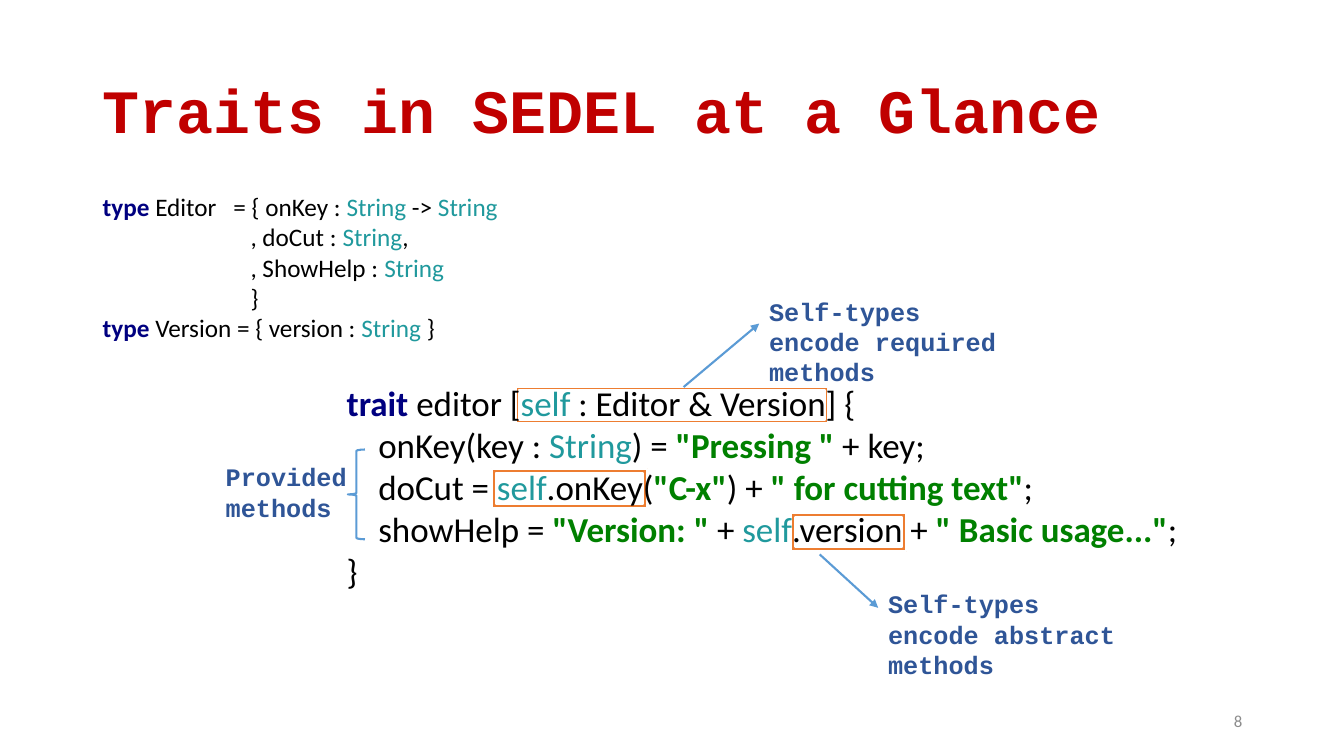
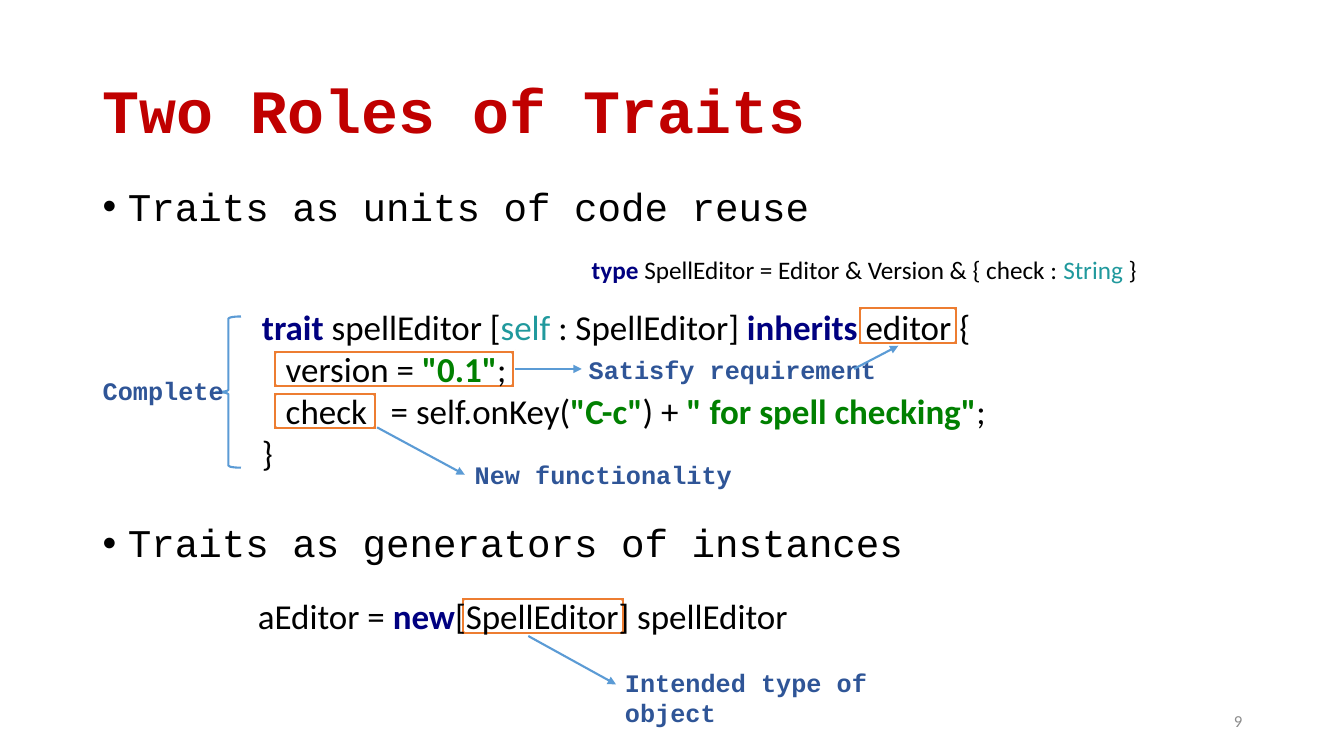
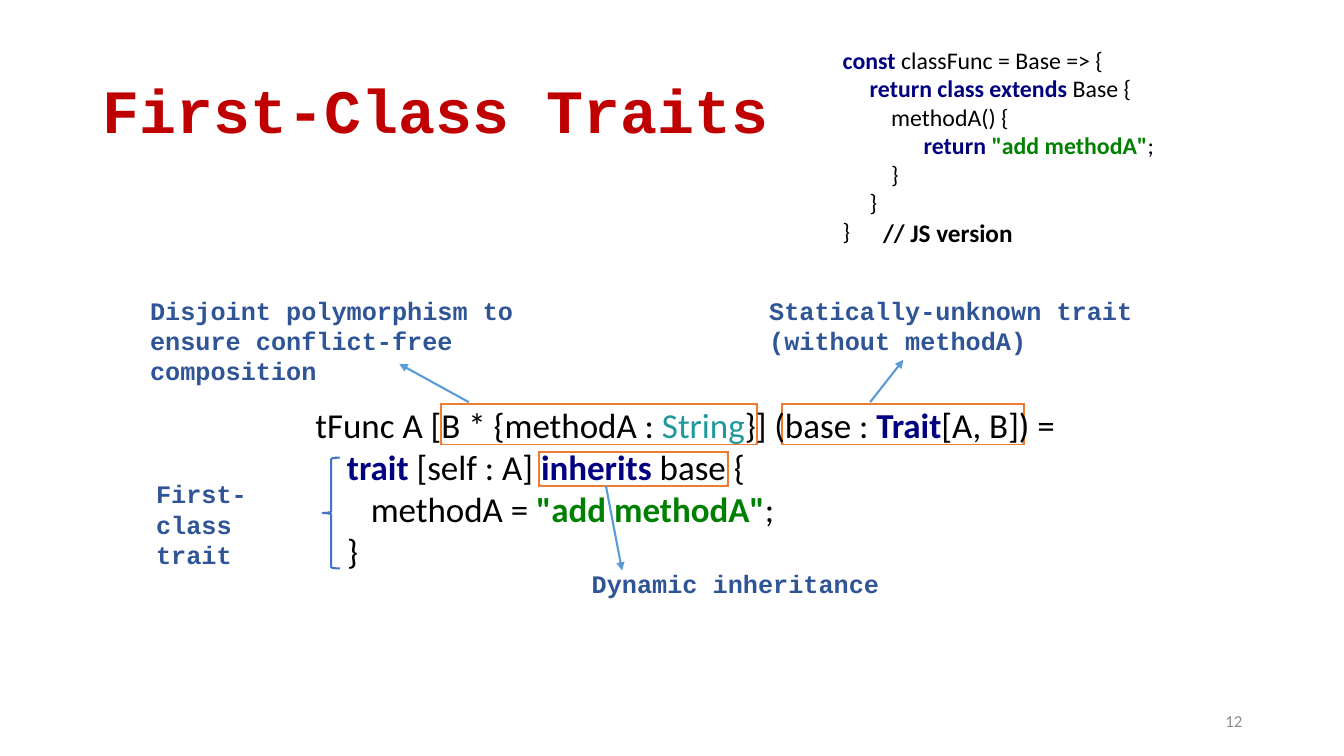
from lxml import etree
from pptx import Presentation
from pptx.dml.color import RGBColor
from pptx.enum.shapes import MSO_CONNECTOR, MSO_SHAPE
from pptx.enum.text import MSO_ANCHOR, PP_ALIGN
from pptx.oxml.ns import qn
from pptx.util import Inches, Pt

STRAIGHT = MSO_CONNECTOR.STRAIGHT
FRAME, LEFT_BRACE = MSO_SHAPE.FRAME, MSO_SHAPE.LEFT_BRACE
MIDDLE, TOP = MSO_ANCHOR.MIDDLE, MSO_ANCHOR.TOP
LEFT, RIGHT = PP_ALIGN.LEFT, PP_ALIGN.RIGHT

SANS, MONO = "Calibri", "Courier New"
COLORS = {
    "title": "C00000", "label": "2F5597", "number": "8C8C8C",
    "plain": "000000", "keyword": "000080", "name": "20999D", "string": "008000",
    "frame": "ED7D31", "paper": "FFFFFF", "arrow": "5B9BD5", "brace": "4472C4",
}
BOLD_ROLES = {"keyword", "string"}
RULE_WIDTH = Pt(1.5)
JOIN_TOLERANCE = Inches(0.015)


def keyword(text):
    return text, "keyword"


def name(text):
    return text, "name"


def string(text):
    return text, "string"


# Code is (place, size, lines); a line lists plain strings and (text, role) pairs.
# Arrows are (from x, from y, to x, to y); frames add the border thickness.
SLIDES = [
    {
        "title": "Traits in SEDEL at a Glance", "number": "8",
        "frames": [(5.12, 3.84, 3.09, 0.36, 0.03), (7.85, 5.09, 1.14, 0.38, 0.04),
                   (4.88, 4.65, 1.54, 0.39, 0.04)],
        "code": [
            ((0.92, 1.85, 4.79, 1.62), 18, [
                [keyword("type "), "Editor   = { onKey : ", name("String"), " -> ", name("String")],
                ["                          , doCut : ", name("String"), ","],
                ["                          , ShowHelp : ", name("String")],
                ["                          }"],
                [keyword("type "), "Version = { version : ", name("String "), "}"],
            ]),
            ((3.34, 3.74, 8.83, 2.2), 25, [
                [keyword("trait "), "editor [", name("self "), ": Editor & Version] {"],
                ["    onKey(key : ", name("String"), ") = ", string('"Pressing " '), "+ key;"],
                ["    doCut = ", name("self"), ".onKey(", string('"C-x"'), ") + ",
                 string('" for cutting text"'), ";"],
                ["    showHelp = ", string('"Version: " '), "+ ", name("self"), ".version + ",
                 string('" Basic usage..."'), ";"],
                ["}"],
            ]),
        ],
        "braces": [(3.45, 4.46, 0.17, 0.89, "arrow")],
        "labels": [((7.53, 2.89, 2.67, 0.71), "Self-types encode required methods"),
                   ((2.14, 4.53, 1.7, 0.71), "Provided methods"),
                   ((8.71, 5.79, 2.67, 0.71), "Self-types encode abstract methods")],
        "arrows": [(6.78, 3.84, 7.53, 3.21), (8.13, 5.5, 8.71, 6.03)],
    },
    {
        "title": "Two Roles of Traits", "number": "9",
        "bullets": [(1.81, "Traits as units of code reuse"),
                    (5.15, "Traits as generators of instances")],
        "frames": [(2.71, 3.47, 2.4, 0.38, 0.04), (2.71, 3.89, 1.03, 0.38, 0.04),
                   (8.51, 3.04, 0.99, 0.38, 0.04), (4.57, 5.92, 1.63, 0.38, 0.04)],
        "code": [
            ((2.5, 2.98, 8.18, 1.78), 25, [
                [keyword("trait "), "spellEditor [", name("self "), ": SpellEditor] ",
                 keyword("inherits "), "editor {"],
                ["   version = ", string('"0.1"'), ";"],
                ["   check   = self.onKey(", string('"C-c"'), ") + ",
                 string('" for spell checking"'), ";"],
                ["}"],
            ]),
            ((5.77, 2.47, 6.67, 0.4), 18, [
                [keyword("type "), "SpellEditor = Editor & Version & { check : ",
                 name("String"), " }"],
            ]),
            ((2.46, 5.85, 5.61, 0.52), 25, [
                ["aEditor = ", keyword("new"), "[SpellEditor] spellEditor"],
            ]),
        ],
        "braces": [(2.14, 3.14, 0.25, 1.5, "arrow")],
        "labels": [((5.74, 3.47, 3.4, 0.4), "Satisfy requirement"),
                   ((4.61, 4.51, 3, 0.4), "New functionality"),
                   ((0.92, 3.67, 1.57, 0.4), "Complete"),
                   ((6.1, 6.57, 3.52, 0.4), "Intended type of object")],
        "arrows": [(3.74, 4.24, 4.61, 4.71), (5.11, 3.66, 5.77, 3.66),
                   (8.47, 3.66, 8.91, 3.43), (5.24, 6.31, 6.11, 6.79)],
    },
    {
        "title": "First-Class Traits", "number": "12",
        "frames": [(5.33, 4.46, 1.91, 0.38, 0.04), (7.74, 3.99, 2.44, 0.44, 0.04),
                   (4.35, 3.99, 3.18, 0.44, 0.04)],
        "code": [
            ((3.03, 3.95, 8.74, 1.78), 25, [
                ["tFunc A [B * {methodA : ", name("String"), "}] (base : ",
                 keyword("Trait"), "[A, B]) ="],
                ["    ", keyword("trait "), "[self : A] ", keyword("inherits"), " base {"],
                ["       methodA = ", string('"add methodA"'), ";"],
                ["    }"],
            ]),
            ((8.26, 0.4, 3.51, 2.1), 17, [
                [keyword("const"), " classFunc = Base => {"],
                ["     ", keyword("return class extends "), "Base {"],
                ["         methodA() {"],
                ["               ", keyword("return "), string('"add methodA"'), ";"],
                ["         }"],
                ["     }"],
                ["}"],
            ]),
        ],
        "braces": [(3.2, 4.54, 0.17, 1.1, "brace")],
        "labels": [((1.45, 4.7, 1.75, 0.71), "First-class trait"),
                   ((1.39, 2.88, 3.92, 1.01),
                    "Disjoint polymorphism to ensure conflict-free composition"),
                   ((7.53, 2.88, 4.15, 0.71), "Statically-unknown trait (without methodA)"),
                   ((5.77, 5.59, 3.2, 0.4), "Dynamic inheritance")],
        "comments": [((8.66, 2.11, 1.51, 0.4), "// JS version")],
        "arrows": [(4.65, 3.99, 3.96, 3.61), (8.63, 3.99, 8.96, 3.57),
                   (6.01, 4.82, 6.17, 5.66)],
    },
]


def rgb(role):
    return RGBColor.from_string(COLORS[role])


def set_font(font, face, size, role, bold=False):
    font.name, font.size, font.bold = face, Pt(size), bold
    font.color.rgb = rgb(role)


def add_box(page, place, anchor=TOP):
    box = page.shapes.add_textbox(*map(Inches, place))
    box.text_frame.word_wrap = True
    box.text_frame.vertical_anchor = anchor
    return box


def add_text(page, place, text, face, size, role, bold=False, anchor=TOP, align=LEFT):
    para = add_box(page, place, anchor).text_frame.paragraphs[0]
    para.text, para.alignment = text, align
    set_font(para.font, face, size, role, bold)
    return para


def add_bullet(page, top, text):
    para = add_text(page, (0.92, top, 11.5, 0.55), text, MONO, 28, "plain")
    para.line_spacing = 0.9
    props = para._p.get_or_add_pPr()
    props.set("marL", str(Inches(0.25)))
    props.set("indent", str(-Inches(0.25)))
    bullet_font = etree.Element(qn("a:buFont"), typeface="Arial")
    bullet = etree.Element(qn("a:buChar"), char="•")
    spacing = props.find(qn("a:lnSpc"))
    spacing.addnext(bullet_font)
    bullet_font.addnext(bullet)


def add_code(page, place, size, lines):
    text = add_box(page, place).text_frame
    for index, line in enumerate(lines):
        para = text.add_paragraph() if index else text.paragraphs[0]
        for part in line:
            words, role = (part, "plain") if isinstance(part, str) else part
            span = para.add_run()
            span.text = words
            set_font(span.font, SANS, size, role, role in BOLD_ROLES)


def add_outline(page, kind, place, line_role):
    shape = page.shapes.add_shape(kind, *map(Inches, place))
    shape.shadow.inherit = False
    shape.fill.background()
    shape.line.color.rgb = rgb(line_role)
    shape.line.width = RULE_WIDTH
    return shape


def add_frame(page, left, top, width, height, thickness):
    frame = add_outline(page, FRAME, (left, top, width, height), "paper")
    frame.adjustments[0] = thickness / min(width, height)
    frame.fill.solid()
    frame.fill.fore_color.rgb = rgb("frame")
    return frame


def side_at(frame, x, y):
    """Return the number of the side whose middle is at x, y, or None."""
    center_x, center_y = frame.left + frame.width // 2, frame.top + frame.height // 2
    middles = [(center_x, frame.top), (frame.left, center_y),
               (center_x, frame.top + frame.height), (frame.left + frame.width, center_y)]
    for side, (mid_x, mid_y) in enumerate(middles):
        if max(abs(mid_x - x), abs(mid_y - y)) < JOIN_TOLERANCE:
            return side
    return None


def add_arrow(page, ends, frames):
    start_x, start_y, end_x, end_y = map(Inches, ends)
    arrow = page.shapes.add_connector(STRAIGHT, start_x, start_y, end_x, end_y)
    arrow.line.color.rgb = rgb("arrow")
    arrow.line.width = RULE_WIDTH
    etree.SubElement(arrow.line._get_or_add_ln(), qn("a:tailEnd"), type="triangle")
    etree.SubElement(arrow._element.spPr, qn("a:effectLst"))
    for frame in frames:
        side = side_at(frame, start_x, start_y)
        if side is not None:
            arrow.begin_connect(frame, side)


def build_slide(deck, content):
    page = deck.slides.add_slide(deck.slide_layouts[6])
    frames = [add_frame(page, *frame) for frame in content["frames"]]
    title = add_text(page, (0.92, 0.4, 11.5, 1.45), content["title"], MONO, 44, "title",
                     bold=True, anchor=MIDDLE)
    title.line_spacing = 0.9
    add_text(page, (9.42, 6.95, 3, 0.4), content["number"], SANS, 12, "number",
             anchor=MIDDLE, align=RIGHT)
    for top, text in content.get("bullets", []):
        add_bullet(page, top, text)
    for place, size, lines in content["code"]:
        add_code(page, place, size, lines)
    for *place, role in content["braces"]:
        add_outline(page, LEFT_BRACE, place, role)
    for place, text in content["labels"]:
        add_text(page, place, text, MONO, 18, "label", bold=True)
    for place, text in content.get("comments", []):
        add_text(page, place, text, SANS, 18, "plain", bold=True)
    for ends in content["arrows"]:
        add_arrow(page, ends, frames)


def main():
    deck = Presentation()
    deck.slide_width, deck.slide_height = Inches(13.33), Inches(7.5)
    for content in SLIDES:
        build_slide(deck, content)
    deck.save("out.pptx")


if __name__ == "__main__":
    main()
